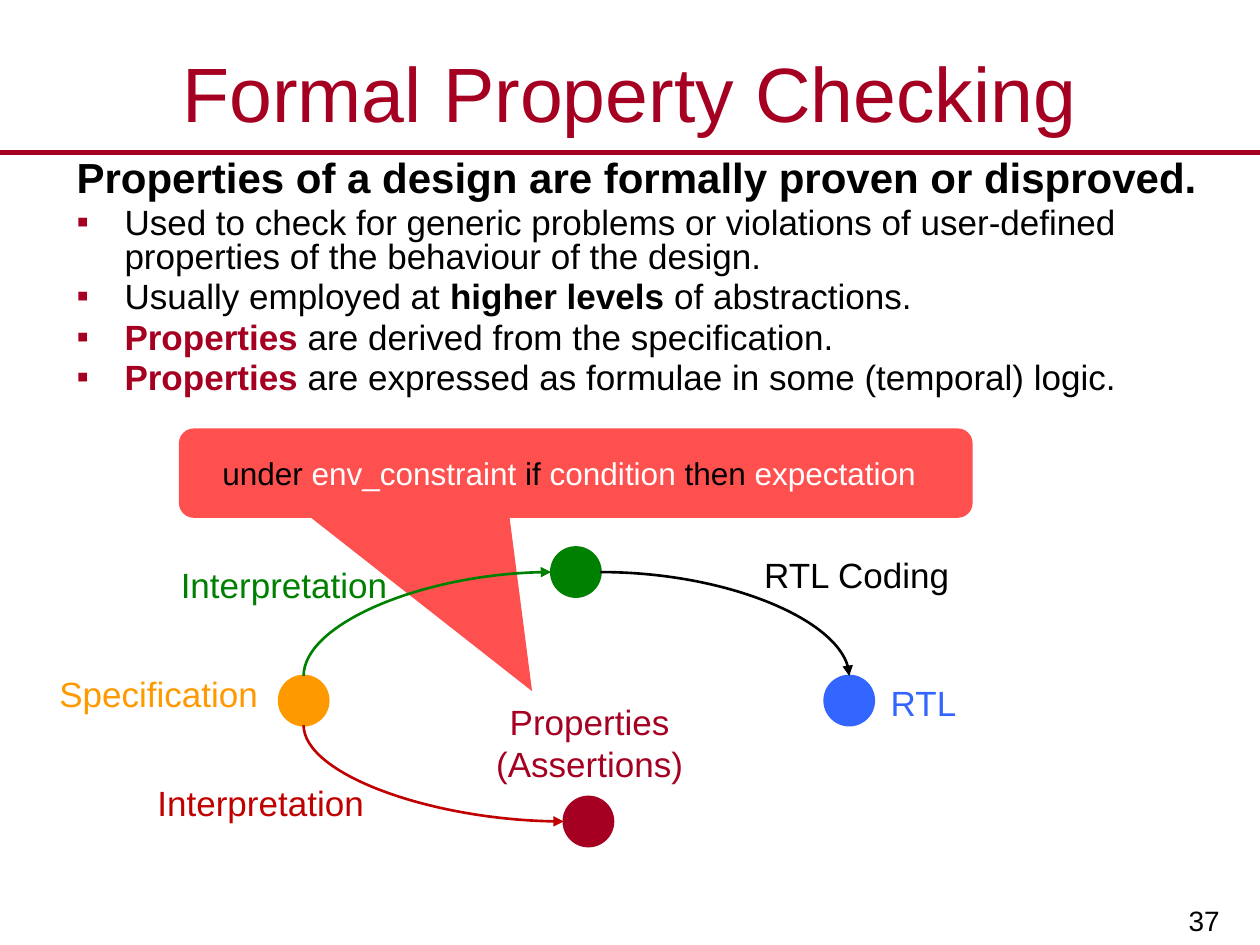
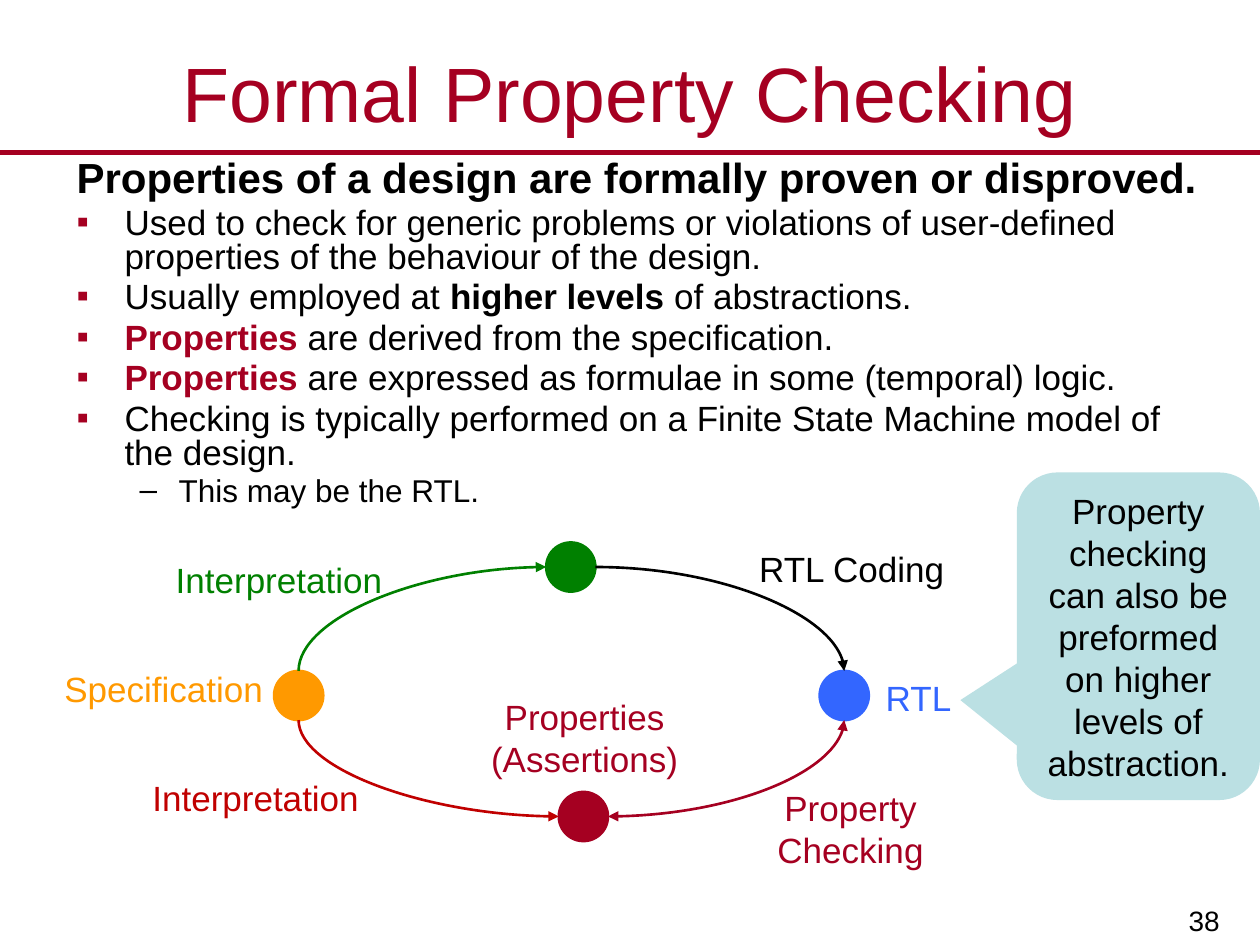
from lxml import etree
from pptx import Presentation
from pptx.dml.color import RGBColor
from pptx.enum.shapes import MSO_CONNECTOR, MSO_SHAPE
from pptx.enum.text import MSO_ANCHOR, PP_ALIGN
from pptx.oxml.ns import qn
from pptx.util import Inches, Pt

CENTER, RIGHT = PP_ALIGN.CENTER, PP_ALIGN.RIGHT
MIDDLE, BOTTOM = MSO_ANCHOR.MIDDLE, MSO_ANCHOR.BOTTOM
STRAIGHT, CURVE = MSO_CONNECTOR.STRAIGHT, MSO_CONNECTOR.CURVE
ELLIPSE, CALLOUT = MSO_SHAPE.OVAL, MSO_SHAPE.ROUNDED_RECTANGULAR_CALLOUT

FONT = "Arial"
BLACK, WHITE, CRIMSON = "000000", "FFFFFF", "A50021"
ORANGE, GREEN, BLUE, RED = "FF9900", "008000", "3366FF", "C00000"
CORAL, PALE_TEAL = "FF5050", "BBE0E3"


def rgb(color):
    return RGBColor.from_string(color)


def add_text(paragraph, text, size=20, color=BLACK, bold=False, align=None):
    run = paragraph.add_run()
    run.text = text
    run.font.name = FONT
    run.font.size = Pt(size)
    run.font.bold = bold
    run.font.color.rgb = rgb(color)
    if align is not None:
        paragraph.alignment = align


# Body paragraphs: bullet, bullet colour, left indent, hanging indent, size, runs
PROPERTIES = ("Properties ", CRIMSON, True)
shared_body = [
    (None, None, 0.38, 0.38, 24,
     [("Properties of a design are formally proven or disproved.", BLACK, True)]),
    ("▪", CRIMSON, 0.38, 0.38, 20,
     [("Used to check for generic problems or violations of user-defined "
       "properties of the behaviour of the design.", BLACK, False)]),
    ("▪", CRIMSON, 0.38, 0.38, 20,
     [("Usually employed at ", BLACK, False), ("higher levels ", BLACK, True),
      ("of abstractions.", BLACK, False)]),
    ("▪", CRIMSON, 0.38, 0.38, 20,
     [PROPERTIES, ("are derived from the specification.", BLACK, False)]),
    ("▪", CRIMSON, 0.38, 0.38, 20,
     [PROPERTIES,
      ("are expressed as formulae in some (temporal) logic.", BLACK, False)]),
]
model_body = [
    ("▪", CRIMSON, 0.38, 0.38, 20,
     [("Checking is typically performed on a Finite State Machine model of "
       "the design.", BLACK, False)]),
    ("–", BLACK, 0.81, 0.31, 18, [("This may be the RTL.", BLACK, False)]),
]

# Diagram: node centres and colours
DIAMETER = 0.39
RADIUS = DIAMETER / 2
nodes = {
    "specification": (2.41, 5.56, ORANGE),
    "properties": (4.67, 6.52, CRIMSON),
    "rtl": (6.74, 5.56, BLUE),
    "design": (4.57, 4.54, GREEN),
}
# Curves leave the first node sideways and meet the second from above or below
shared_curves = [
    ("design", "rtl", BLACK, ["tailEnd"]),
    ("properties", "specification", RED, ["headEnd"]),
    ("design", "specification", GREEN, ["headEnd"]),
]
checking_curve = ("properties", "rtl", CRIMSON, ["headEnd", "tailEnd"])

# Labels: text, left, top, width, height, colour
shared_labels = [
    ("RTL", 6.93, 5.36, 0.8, 0.44, BLUE),
    ("Interpretation", 0.87, 6.15, 2.4, 0.44, RED),
    ("Properties (Assertions)", 3.75, 5.51, 1.86, 0.77, CRIMSON),
    ("RTL Coding", 5.83, 4.34, 1.94, 0.44, BLACK),
    ("Interpretation", 1.19, 4.42, 2.13, 0.44, GREEN),
]
checking_label = ("Property Checking", 5.83, 6.23, 1.92, 0.77, CRIMSON)

slides = [
    {
        "number": 37, "shift": 0, "body": shared_body, "body_height": 2.05,
        "curves": shared_curves,
        "labels": shared_labels
        + [("Specification", 0.24, 5.29, 2.04, 0.44, ORANGE)],
        "callout": (1.42, 3.4, 6.3, 0.71), "callout_fill": CORAL,
        "pointer": (-0.055, 2.438), "callout_inset": 0.31,
        "callout_size": 18, "callout_align": None,
        "callout_runs": [("under ", BLACK), ("env_constraint ", WHITE),
                         ("if ", BLACK), ("condition ", WHITE),
                         ("then ", BLACK), ("expectation", WHITE)],
    },
    {
        "number": 38, "shift": -0.04, "body": shared_body + model_body,
        "body_height": 2.91, "curves": shared_curves + [checking_curve],
        "labels": shared_labels
        + [("Specification", 0.32, 5.29, 2.04, 0.44, ORANGE), checking_label],
        "callout": (8.07, 3.75, 1.93, 2.6), "callout_fill": PALE_TEAL,
        "pointer": (-0.732, 0.195), "callout_inset": 0.1,
        "callout_size": 20, "callout_align": CENTER,
        "callout_runs": [("Property checking can also be preformed on higher "
                          "levels of abstraction.", BLACK)],
    },
]

presentation = Presentation()
presentation.slide_width = Inches(10)
presentation.slide_height = Inches(7.5)

for content in slides:
    slide = presentation.slides.add_slide(presentation.slide_layouts[5])
    shapes = slide.shapes
    shift = content["shift"]

    # Title
    title = shapes.title
    title.left, title.top = Inches(0), Inches(0.3)
    title.width, title.height = Inches(10), Inches(0.86)
    title.text_frame.vertical_anchor = MIDDLE
    add_text(title.text_frame.paragraphs[0], "Formal Property Checking",
             size=44, color=CRIMSON, align=CENTER)

    # Rule under the title
    rule = shapes.add_connector(STRAIGHT, Inches(0), Inches(1.21),
                                Inches(10), Inches(1.21))
    rule.line.color.rgb = rgb(CRIMSON)
    rule.line.width = Pt(3)
    etree.SubElement(rule._element.spPr, qn("a:effectLst"))

    # Slide number
    number = shapes.add_textbox(Inches(7.8), Inches(6.93),
                                Inches(1.99), Inches(0.57)).text_frame
    number.word_wrap = True
    number.vertical_anchor = BOTTOM
    number.margin_left = number.margin_right = Inches(0.11)
    number.margin_top = number.margin_bottom = Inches(0.06)
    add_text(number.paragraphs[0], str(content["number"]), size=16, align=RIGHT)

    # Callout, behind the diagram
    callout = shapes.add_shape(CALLOUT, *map(Inches, content["callout"]))
    callout.shadow.inherit = False
    callout.fill.solid()
    callout.fill.fore_color.rgb = rgb(content["callout_fill"])
    callout.line.fill.background()
    callout.adjustments[0], callout.adjustments[1] = content["pointer"]
    callout.adjustments[2] = 0.167
    frame = callout.text_frame
    frame.word_wrap = True
    frame.vertical_anchor = MIDDLE
    frame.margin_left = Inches(content["callout_inset"])
    frame.paragraphs[0].alignment = content["callout_align"] or PP_ALIGN.LEFT
    for text, color in content["callout_runs"]:
        add_text(frame.paragraphs[0], text, size=content["callout_size"],
                 color=color)

    # Body text
    body = shapes.add_textbox(Inches(0.51), Inches(1.23), Inches(9.22),
                              Inches(content["body_height"])).text_frame
    body.word_wrap = True
    for index, (bullet, bullet_color, indent, hanging, size, runs) in enumerate(
            content["body"]):
        paragraph = body.add_paragraph() if index else body.paragraphs[0]
        paragraph.line_spacing = 0.8
        paragraph.space_before = Pt(size * 0.2)
        properties = paragraph._p.get_or_add_pPr()
        properties.set("marL", str(Inches(indent)))
        properties.set("indent", str(-Inches(hanging)))
        if bullet:
            fill = etree.SubElement(properties, qn("a:buClr"))
            etree.SubElement(fill, qn("a:srgbClr"), val=bullet_color)
            etree.SubElement(properties, qn("a:buFont"), typeface=FONT)
            etree.SubElement(properties, qn("a:buChar"), char=bullet)
        for text, color, bold in runs:
            add_text(paragraph, text, size=size, color=color, bold=bold)

    # Diagram nodes
    for x, y, color in nodes.values():
        node = shapes.add_shape(ELLIPSE, Inches(x - RADIUS + shift),
                                Inches(y - RADIUS + shift),
                                Inches(DIAMETER), Inches(DIAMETER))
        node.shadow.inherit = False
        node.fill.solid()
        node.fill.fore_color.rgb = rgb(color)
        node.line.color.rgb = rgb(color)
        node.line.width = Pt(1.5)

    # Diagram curves
    for start, end, color, arrowheads in content["curves"]:
        start_x, start_y, _ = nodes[start]
        end_x, end_y, _ = nodes[end]
        start_x += RADIUS if end_x > start_x else -RADIUS
        end_y += RADIUS if start_y > end_y else -RADIUS
        curve = shapes.add_connector(
            CURVE, Inches(start_x + shift), Inches(start_y + shift),
            Inches(end_x + shift), Inches(end_y + shift))
        curve.line.color.rgb = rgb(color)
        curve.line.width = Pt(1.5)
        outline = curve.line._get_or_add_ln()
        for arrowhead in arrowheads:
            etree.SubElement(outline, qn("a:" + arrowhead), type="triangle")
        curve_properties = curve._element.spPr
        curve_properties.find(qn("a:prstGeom")).set("prst", "curvedConnector2")
        etree.SubElement(curve_properties, qn("a:effectLst"))

    # Diagram labels
    for text, left, top, width, height, color in content["labels"]:
        label = shapes.add_textbox(Inches(left + shift), Inches(top + shift),
                                   Inches(width), Inches(height)).text_frame
        label.word_wrap = True
        add_text(label.paragraphs[0], text, color=color, align=CENTER)

presentation.save("out.pptx")
